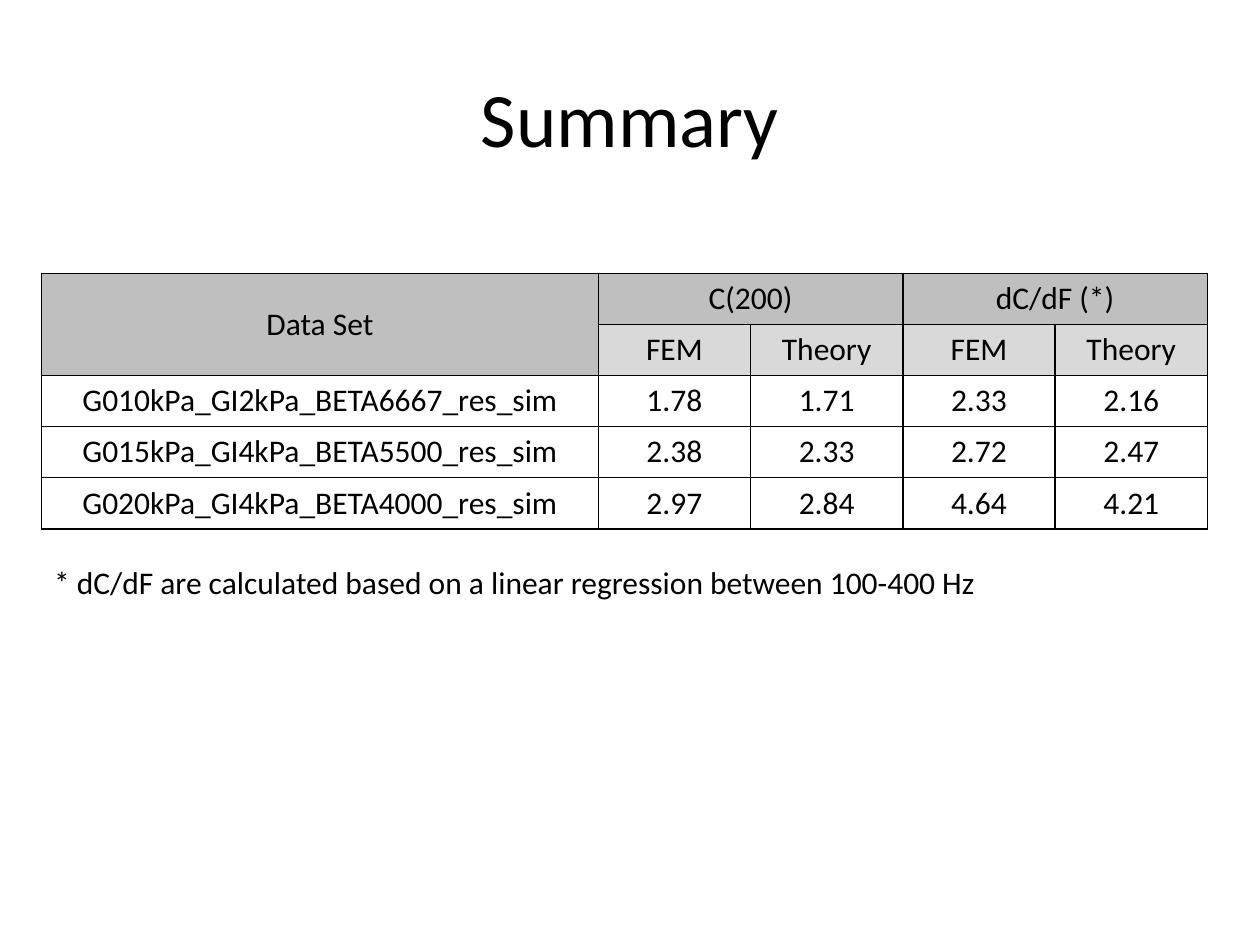
from dataclasses import dataclass

from lxml.etree import SubElement
from pptx import Presentation
from pptx.dml.color import RGBColor as Color
from pptx.enum.text import MSO_ANCHOR as Anchor, PP_ALIGN as Align
from pptx.oxml.ns import qn
from pptx.util import Cm, Pt

# Content
TITLE = "Summary"
NOTE = "* dC/dF are calculated based on a linear regression between 100-400 Hz"
ROWS = [
    ("Data Set", "C(200)", "", "dC/dF (*)", ""),
    ("", "FEM", "Theory", "FEM", "Theory"),
    ("G010kPa_GI2kPa_BETA6667_res_sim", "1.78", "1.71", "2.33", "2.16"),
    ("G015kPa_GI4kPa_BETA5500_res_sim", "2.38", "2.33", "2.72", "2.47"),
    ("G020kPa_GI4kPa_BETA4000_res_sim", "2.97", "2.84", "4.64", "4.21"),
]
MERGES = [((0, 0), (1, 0)), ((0, 1), (0, 2)), ((0, 3), (0, 4))]
COLUMN_WIDTHS = [11.22] + [3.07] * 4
ROW_HEIGHT = 1.03
LEFT = 0.84


@dataclass(frozen=True)
class Theme:
    font: str = "Calibri"
    ink: str = "000000"
    group_fill: str = "BFBFBF"
    header_fill: str = "D9D9D9"
    title_size: int = 44
    body_size: int = 18
    border: int = 1


THEME = Theme()


def write(frame, text, size=THEME.body_size, align=Align.CENTER):
    para = frame.paragraphs[0]
    para.alignment = align
    span = para.add_run()
    span.text = text
    span.font.name = THEME.font
    span.font.size = Pt(size)
    span.font.color.rgb = Color.from_string(THEME.ink)


def add_text(page, text, left, top, width, height, anchor=Anchor.TOP, **style):
    box = page.shapes.add_textbox(Cm(left), Cm(top), Cm(width), Cm(height))
    box.text_frame.word_wrap = True
    box.text_frame.vertical_anchor = anchor
    write(box.text_frame, text, **style)


def add_borders(cell):
    properties = cell._tc.get_or_add_tcPr()
    for position, side in enumerate(("lnL", "lnR", "lnT", "lnB")):
        line = SubElement(properties, qn(f"a:{side}"), w=str(Pt(THEME.border)))
        fill = SubElement(line, qn("a:solidFill"))
        SubElement(fill, qn("a:srgbClr"), val=THEME.ink)
        properties.insert(position, line)


deck = Presentation()
deck.slide_width, deck.slide_height = Cm(25.4), Cm(19.05)
page = deck.slides.add_slide(deck.slide_layouts[6])

# Title
add_text(page, TITLE, 1.27, 0.76, 22.86, 3.18,
         anchor=Anchor.MIDDLE, size=THEME.title_size)

# Results table
table = page.shapes.add_table(
    len(ROWS), len(COLUMN_WIDTHS), Cm(LEFT), Cm(5.51),
    Cm(sum(COLUMN_WIDTHS)), Cm(ROW_HEIGHT * len(ROWS))).table
table.first_row = table.horz_banding = False
for column, width in zip(table.columns, COLUMN_WIDTHS):
    column.width = Cm(width)
for row in table.rows:
    row.height = Cm(ROW_HEIGHT)

row_fills = {0: THEME.group_fill, 1: THEME.header_fill}
for row_index, texts in enumerate(ROWS):
    for column_index, text in enumerate(texts):
        cell = table.cell(row_index, column_index)
        cell.vertical_anchor = Anchor.MIDDLE
        if row_index in row_fills:
            cell.fill.solid()
            cell.fill.fore_color.rgb = Color.from_string(row_fills[row_index])
        else:
            cell.fill.background()
        add_borders(cell)
        if text:
            write(cell.text_frame, text)
for first, last in MERGES:
    table.cell(*first).merge(table.cell(*last))

# Footnote
add_text(page, NOTE, LEFT, 11.23, 20.52, 1.03, align=Align.LEFT)

deck.save("out.pptx")
